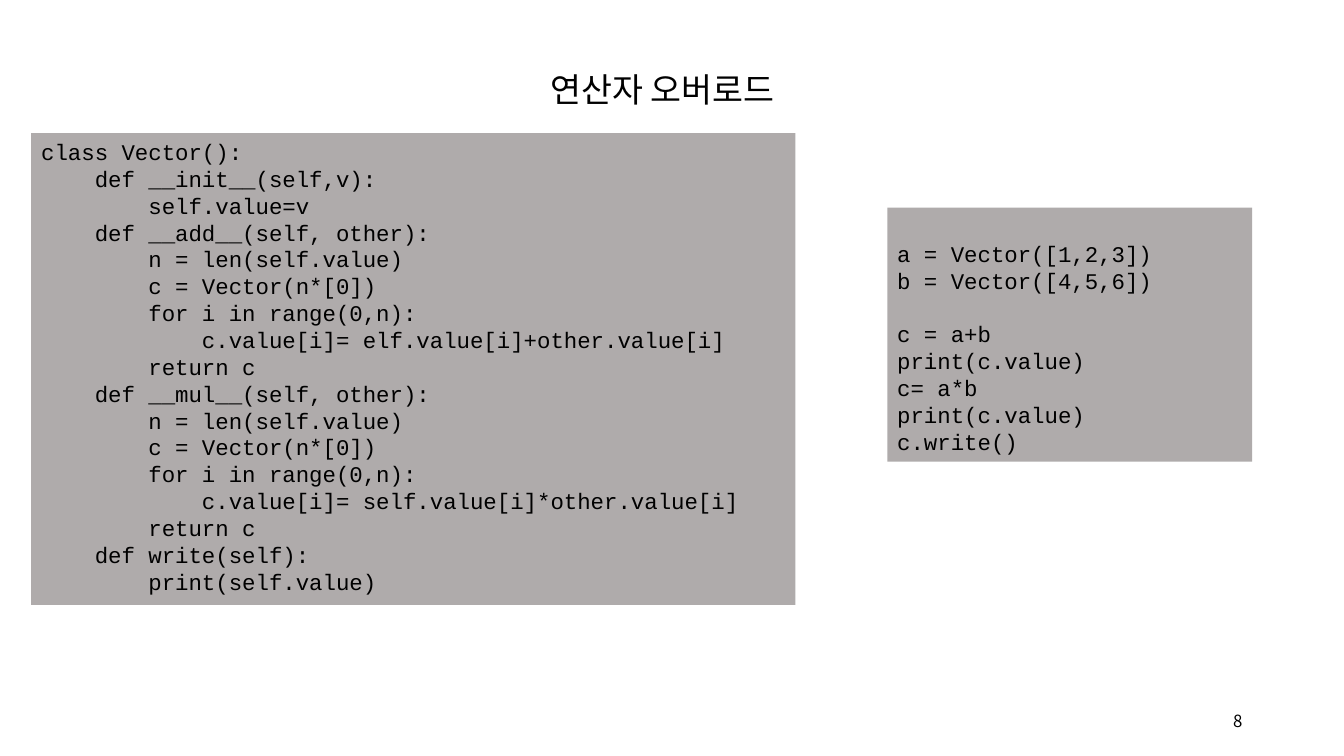
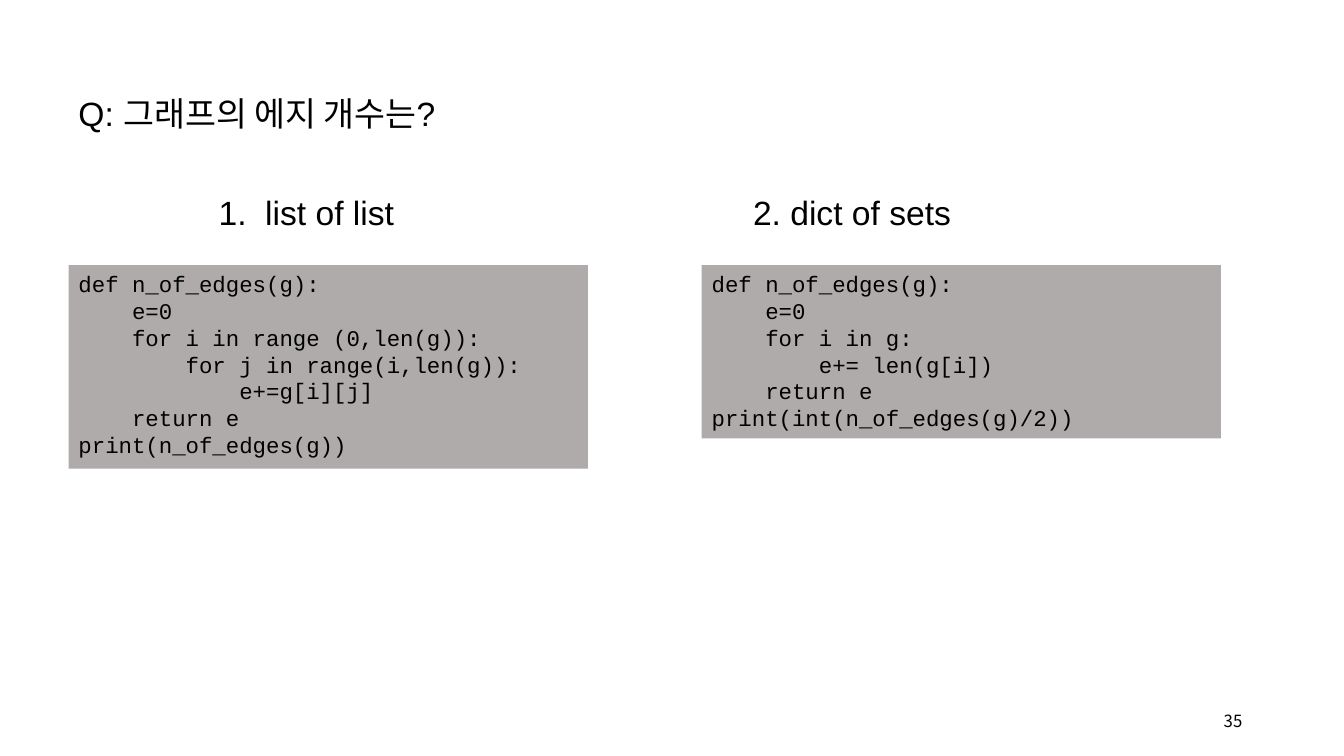
from pptx import Presentation
from pptx.dml.color import RGBColor
from pptx.enum import shapes, text
from pptx.util import Emu, Pt

PX = 9144
BLACK = RGBColor(0x00, 0x00, 0x00)
WHITE = RGBColor(0xFF, 0xFF, 0xFF)
CODE_FILL = RGBColor(0xAF, 0xAB, 0xAB)
HEADING_FONT = "Arial"
CODE_FONT = "Courier New"
NUMBER_FONT = "Noto Sans CJK KR"
CODE_LINE = Pt(19.2)
INSET = 5

VECTOR_CLASS = """class Vector():
    def __init__(self,v):
        self.value=v
    def __add__(self, other):
        n = len(self.value)
        c = Vector(n*[0])
        for i in range(0,n):
            c.value[i]= elf.value[i]+other.value[i]
        return c
    def __mul__(self, other):
        n = len(self.value)
        c = Vector(n*[0])
        for i in range(0,n):
            c.value[i]= self.value[i]*other.value[i]
        return c
    def write(self):
        print(self.value)"""

VECTOR_INPUTS = """a = Vector([1,2,3])
b = Vector([4,5,6])"""

VECTOR_RESULTS = """c = a+b
print(c.value)
c= a*b
print(c.value)
c.write()"""

LIST_EDGES = """def n_of_edges(g):
    e=0
    for i in range (0,len(g)):
        for j in range(i,len(g)):
            e+=g[i][j]
    return e
print(n_of_edges(g))"""

SET_EDGES = """def n_of_edges(g):
    e=0
    for i in g:
        e+= len(g[i])
    return e
print(int(n_of_edges(g)/2))"""


def px(*lengths):
    return [Emu(length * PX) for length in lengths]


def write(shape, groups, font, size, align=text.PP_ALIGN.LEFT,
          anchor=text.MSO_ANCHOR.TOP, wrap=True, line=None, gap=0):
    frame = shape.text_frame
    frame.word_wrap = wrap
    frame.vertical_anchor = anchor
    paragraph = None
    for group in groups:
        for index, content in enumerate(group.split("\n")):
            first = paragraph is None
            paragraph = frame.paragraphs[0] if first else frame.add_paragraph()
            paragraph.alignment = align
            paragraph.line_spacing = line
            if index == 0 and not first:
                paragraph.space_before = gap
            run = paragraph.add_run()
            run.text = content
            run.font.name = font
            run.font.size = Pt(size)
            run.font.color.rgb = BLACK


def add_heading(slide, content, left, top, width):
    box = slide.shapes.add_textbox(*px(left, top, width, 71))
    write(box, [content], HEADING_FONT, 24, wrap=False, line=1.5)


def add_code(slide, groups, left, top, width, height, top_inset=INSET):
    panel = slide.shapes.add_shape(shapes.MSO_SHAPE.RECTANGLE, *px(left, top, width, height))
    panel.shadow.inherit = False
    panel.fill.solid()
    panel.fill.fore_color.rgb = CODE_FILL
    panel.line.fill.background()
    panel.text_frame.margin_top = px(top_inset)[0]
    write(panel, groups, CODE_FONT, 16, line=CODE_LINE, gap=CODE_LINE)


def add_slide(presentation, number):
    slide = presentation.slides.add_slide(presentation.slide_layouts[6])
    slide.background.fill.solid()
    slide.background.fill.fore_color.rgb = WHITE
    box = slide.shapes.add_textbox(*px(1187, 695, 55, 40))
    write(box, [str(number)], NUMBER_FONT, 12, align=text.PP_ALIGN.RIGHT,
          anchor=text.MSO_ANCHOR.MIDDLE)
    return slide


def add_operator_slide(presentation):
    slide = add_slide(presentation, 8)
    add_heading(slide, "연산자 오버로드", 536, 43, 265)
    add_code(slide, [VECTOR_CLASS], 31, 132, 758, 468)
    add_code(slide, [VECTOR_INPUTS, VECTOR_RESULTS], 880, 206, 362, 252, top_inset=32)


def add_edges_slide(presentation):
    slide = add_slide(presentation, 35)
    add_heading(slide, "Q: 그래프의 에지 개수는?", 68, 67, 405)
    columns = [
        ("1.  list of list", 207, 196, LIST_EDGES, 68, 202),
        ("2. dict of sets", 737, 218, SET_EDGES, 696, 172),
    ]
    for heading, heading_left, heading_width, code, code_left, code_height in columns:
        add_heading(slide, heading, heading_left, 165, heading_width)
        add_code(slide, [code], code_left, 263, 515, code_height)


def main():
    presentation = Presentation()
    presentation.slide_width, presentation.slide_height = px(1333, 750)
    add_operator_slide(presentation)
    add_edges_slide(presentation)
    presentation.save("out.pptx")


if __name__ == "__main__":
    main()
